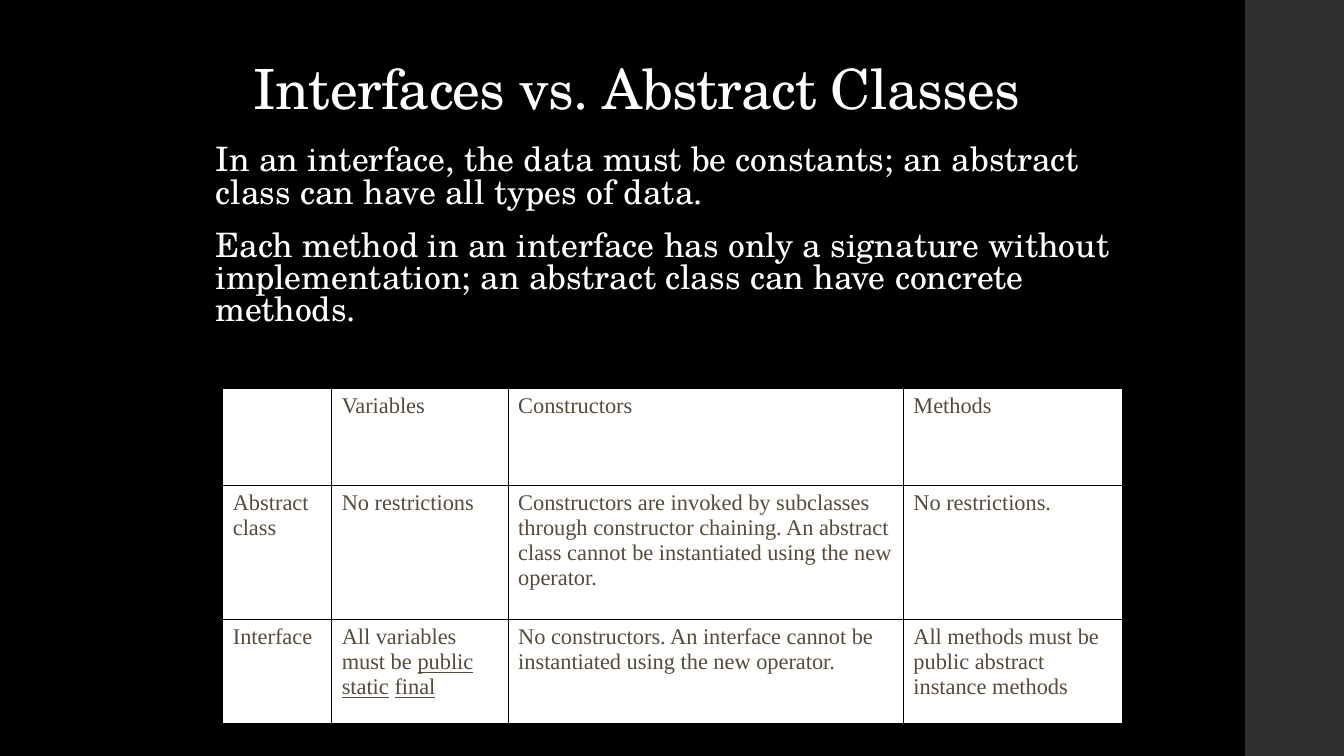
from lxml import etree
from pptx import Presentation, util as u
from pptx.dml.color import RGBColor
from pptx.enum import shapes, text
from pptx.oxml import ns

WIDTH, HEIGHT = 13.33, 7.5
COLORS = {"background": "000000", "side": "303030", "heading": "FFFFFF",
          "cell": "FFFFFF", "cell_text": "564B3C", "border": "000000"}
SCHOLA = {"name": "TeX Gyre Schola"}
CELL_FONT = {"name": "Times New Roman", "size": u.Pt(16)}

TITLE = "Interfaces vs. Abstract Classes"
POINTS = [
    "In an interface, the data must be constants; an abstract class can have "
    "all types of data.",
    "Each method in an interface has only a signature without implementation; "
    "an abstract class can have concrete methods.",
]
# Each cell is a list of runs; the odd ones are underlined
COMPARISON = [
    [[], ["Variables"], ["Constructors"], ["Methods"]],
    [["Abstract class"], ["No restrictions"],
     ["Constructors are invoked by subclasses through constructor chaining. "
      "An abstract class cannot be instantiated using the new operator."],
     ["No restrictions."]],
    [["Interface"],
     ["All variables must be ", "public", " ", "static", " ", "final"],
     ["No constructors. An interface cannot be instantiated using the new operator."],
     ["All methods must be public abstract instance methods"]],
]
COLUMN_WIDTHS = [1.08, 1.75, 3.92, 2.17]
ROW_HEIGHTS = [0.97, 1.33, 1.03]


def rgb(key):
    return RGBColor.from_string(COLORS[key])


def box(left, top, width, height):
    return [u.Inches(length) for length in (left, top, width, height)]


def apply(target, values):
    for name, value in values.items():
        setattr(target, name, value)


def add_run(paragraph, words, color, font):
    run = paragraph.add_run()
    run.text = words
    apply(run.font, font)
    run.font.color.rgb = rgb(color)
    return run


def add_text(slide, place, lines, font, layout, anchor, indent=0, tracking=0):
    frame = slide.shapes.add_textbox(*box(*place)).text_frame
    apply(frame, {"word_wrap": True, "vertical_anchor": anchor})
    for index, line in enumerate(lines):
        paragraph = frame.add_paragraph() if index else frame.paragraphs[0]
        apply(paragraph, layout)
        paragraph._p.get_or_add_pPr().set("marL", str(u.Inches(indent)))
        run = add_run(paragraph, line, "heading", font)
        run.font._element.set("spc", str(int(tracking * 100)))


def add_side_band(slide):
    band = slide.shapes.add_shape(shapes.MSO_SHAPE.RECTANGLE,
                                  *box(WIDTH - 0.98, 0, 0.98, HEIGHT))
    band.shadow.inherit = False
    band.fill.solid()
    band.fill.fore_color.rgb = rgb("side")
    band.line.fill.background()


def add_borders(cell):
    properties = cell._tc.get_or_add_tcPr()
    for position, side in enumerate(("lnL", "lnR", "lnT", "lnB")):
        line = etree.Element(ns.qn(f"a:{side}"), w=str(u.Pt(1)))
        fill = etree.SubElement(line, ns.qn("a:solidFill"))
        etree.SubElement(fill, ns.qn("a:srgbClr"), val=COLORS["border"])
        properties.insert(position, line)


def add_comparison(slide, left, top):
    place = box(left, top, sum(COLUMN_WIDTHS), sum(ROW_HEIGHTS))
    table = slide.shapes.add_table(len(ROW_HEIGHTS), len(COLUMN_WIDTHS), *place).table
    apply(table, {"first_row": False, "horz_banding": False})
    for column, width in zip(table.columns, COLUMN_WIDTHS):
        column.width = u.Inches(width)
    for row, height, contents in zip(table.rows, ROW_HEIGHTS, COMPARISON):
        row.height = u.Inches(height)
        for cell, runs in zip(row.cells, contents):
            cell.fill.solid()
            cell.fill.fore_color.rgb = rgb("cell")
            add_borders(cell)
            for index, words in enumerate(runs):
                add_run(cell.text_frame.paragraphs[0], words, "cell_text",
                        {**CELL_FONT, "underline": index % 2 == 1})


def main():
    deck = Presentation()
    apply(deck, {"slide_width": u.Inches(WIDTH), "slide_height": u.Inches(HEIGHT)})
    slide = deck.slides.add_slide(deck.slide_layouts[6])
    slide.background.fill.solid()
    slide.background.fill.fore_color.rgb = rgb("background")
    add_side_band(slide)

    # Title and the two statements
    add_text(slide, (2.42, 0, 8.5, 1.25), [TITLE],
             {**SCHOLA, "size": u.Pt(39.6)}, {"line_spacing": 0.9},
             text.MSO_ANCHOR.BOTTOM, tracking=-0.5)
    add_text(slide, (1.92, 1.4, 9.5, 2.08), POINTS,
             {**SCHOLA, "size": u.Pt(24)},
             {"line_spacing": 0.8, "space_before": u.Pt(3), "space_after": u.Pt(12)},
             text.MSO_ANCHOR.TOP, indent=0.12)

    # Comparison table
    add_comparison(slide, 2.21, 3.85)
    deck.save("out.pptx")


main()
